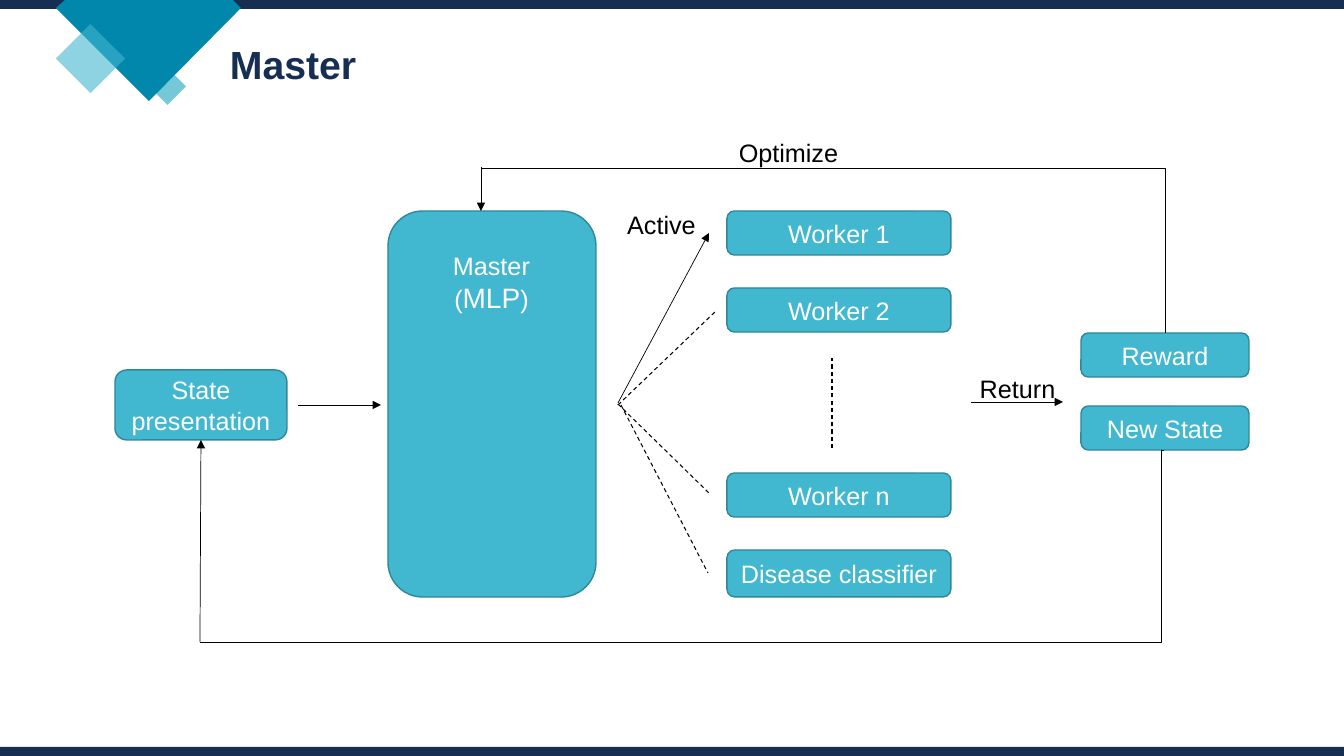
from lxml import etree
from pptx import Presentation
from pptx import util as u
from pptx.dml.color import RGBColor
from pptx.enum import dml, shapes, text
from pptx.oxml.ns import qn

SCALE = 12192000 / 1344
NAVY, TEAL, AQUA, EDGE = "152E52", "0187AC", "41B7D0", "30879A"
WHITE, BLACK = "FFFFFF", "000000"
KIND = shapes.MSO_SHAPE
LINK = shapes.MSO_CONNECTOR


def px(num):
    return u.Emu(round(num * SCALE))


def paint(form, tone, alpha=None):
    form.solid()
    form.fore_color.rgb = RGBColor.from_string(tone)
    if alpha:
        tint = form._xPr.find(qn("a:solidFill"))[0]
        etree.SubElement(tint, qn("a:alpha"), val=str(alpha * 1000))


def write(para, runs, tone, bold=False):
    for words, size in runs:
        run = para.add_run()
        run.text = words
        run.font.name = "Arial"
        run.font.size = u.Pt(size)
        run.font.bold = bold
        paint(run.font.fill, tone)


def plain(slide, kind, area, tone, alpha=None):
    shape = slide.shapes.add_shape(kind, *map(px, area))
    shape.shadow.inherit = False
    paint(shape.fill, tone, alpha)
    shape.line.fill.background()
    return shape


def box(slide, area, words=None):
    shape = plain(slide, KIND.ROUNDED_RECTANGLE, area, AQUA)
    paint(shape.line.fill, EDGE)
    shape.line.width = u.Pt(1)
    if words:
        frame = shape.text_frame
        frame.word_wrap = True
        frame.vertical_anchor = text.MSO_ANCHOR.MIDDLE
        para = frame.paragraphs[0]
        para.alignment = text.PP_ALIGN.CENTER
        write(para, [(words, 18)], WHITE)
    return shape


def label(slide, area, lines, tone, align=text.PP_ALIGN.CENTER, bold=False):
    frame = slide.shapes.add_textbox(*map(px, area)).text_frame
    frame.word_wrap = True
    frame.auto_size = text.MSO_AUTO_SIZE.SHAPE_TO_FIT_TEXT
    for spot, runs in enumerate(lines):
        para = frame.add_paragraph() if spot else frame.paragraphs[0]
        para.alignment = align
        write(para, runs, tone, bold)
    return frame


def link(slide, ends, kind=LINK.STRAIGHT, arrow=False, dash=False):
    line = slide.shapes.add_connector(kind, *map(px, ends))
    paint(line.line.fill, BLACK)
    line.line.width = u.Pt(0.75 if dash else 0.5)
    if dash:
        line.line.dash_style = dml.MSO_LINE.DASH
    if arrow:
        etree.SubElement(line.line._get_or_add_ln(), qn("a:tailEnd"), type="triangle")
    etree.SubElement(line._element.spPr, qn("a:effectLst"))
    return line


def bend(slide, ends, preset, adjust=None):
    geom = link(slide, ends, LINK.ELBOW)._element.spPr.find(qn("a:prstGeom"))
    geom.set("prst", preset)
    if adjust is not None:
        guides = geom.find(qn("a:avLst"))
        if guides is None:
            guides = etree.SubElement(geom, qn("a:avLst"))
        etree.SubElement(guides, qn("a:gd"), name="adj1", fmla=f"val {adjust}")


def decor(slide):
    plain(slide, KIND.DIAMOND, (149, 68, 37, 37), "1AA4BE", 60)
    plain(slide, KIND.RECTANGLE, (0, 0, 1344, 9), NAVY)
    path = [(65, 0), (233, 0), (241, 8), (149, 101), (56, 8)]
    points = [(px(x), px(y)) for x, y in path]
    outline = slide.shapes.build_freeform(*points[0])
    outline.add_line_segments(points[1:], close=True)
    gem = outline.convert_to_shape()
    gem.shadow.inherit = False
    paint(gem.fill, TEAL)
    gem.line.fill.background()
    plain(slide, KIND.DIAMOND, (56, 24, 69, 69), AQUA, 60)
    plain(slide, KIND.RECTANGLE, (0, 747, 1344, 9), NAVY)


def main():
    deck = Presentation()
    deck.slide_width, deck.slide_height = px(1344), px(756)
    slide = deck.slides.add_slide(deck.slide_layouts[6])
    decor(slide)
    title = label(slide, (220, 29, 925, 59), [[("Master", 28)]], NAVY,
                  text.PP_ALIGN.LEFT, True)
    title.paragraphs[0].line_spacing = 1.14

    state = box(slide, (115, 370, 172, 70), "State presentation")
    box(slide, (388, 211, 208, 386))
    label(slide, (420, 245, 143, 65),
          [[("Master", 18)], [("(", 18), ("MLP", 20), (")", 18)]], WHITE)
    for words, top, high in [("Worker 1", 211, 44), ("Worker 2", 288, 44),
                             ("Worker n", 473, 44), ("Disease classifier", 550, 47)]:
        box(slide, (727, top, 224, high), words)
    for words, top in [("Reward", 333), ("New State", 406)]:
        box(slide, (1081, top, 168, 44), words)

    for ends in [(298, 405, 381, 405), (618, 403, 709, 233),
                 (971, 402, 1063, 402), (481, 167, 481, 211)]:
        link(slide, ends, arrow=True)
    for ends in [(618, 405, 717, 310), (832, 448, 832, 358),
                 (618, 404, 709, 493), (621, 405, 708, 573)]:
        link(slide, ends, dash=True)
    bend(slide, (482, 168, 1165, 333), "bentConnector2")
    bend(slide, (1164, 450, 200, 642), "bentConnector3", 300)
    link(slide, (200, 642, 201, 440), arrow=True).end_connect(state, 2)

    for words, left, top in [("Active", 590, 204), ("Return", 946, 368),
                             ("Optimize", 717, 132)]:
        label(slide, (left, top, 143, 35), [[(words, 18)]], BLACK)
    deck.save("out.pptx")


if __name__ == "__main__":
    main()
